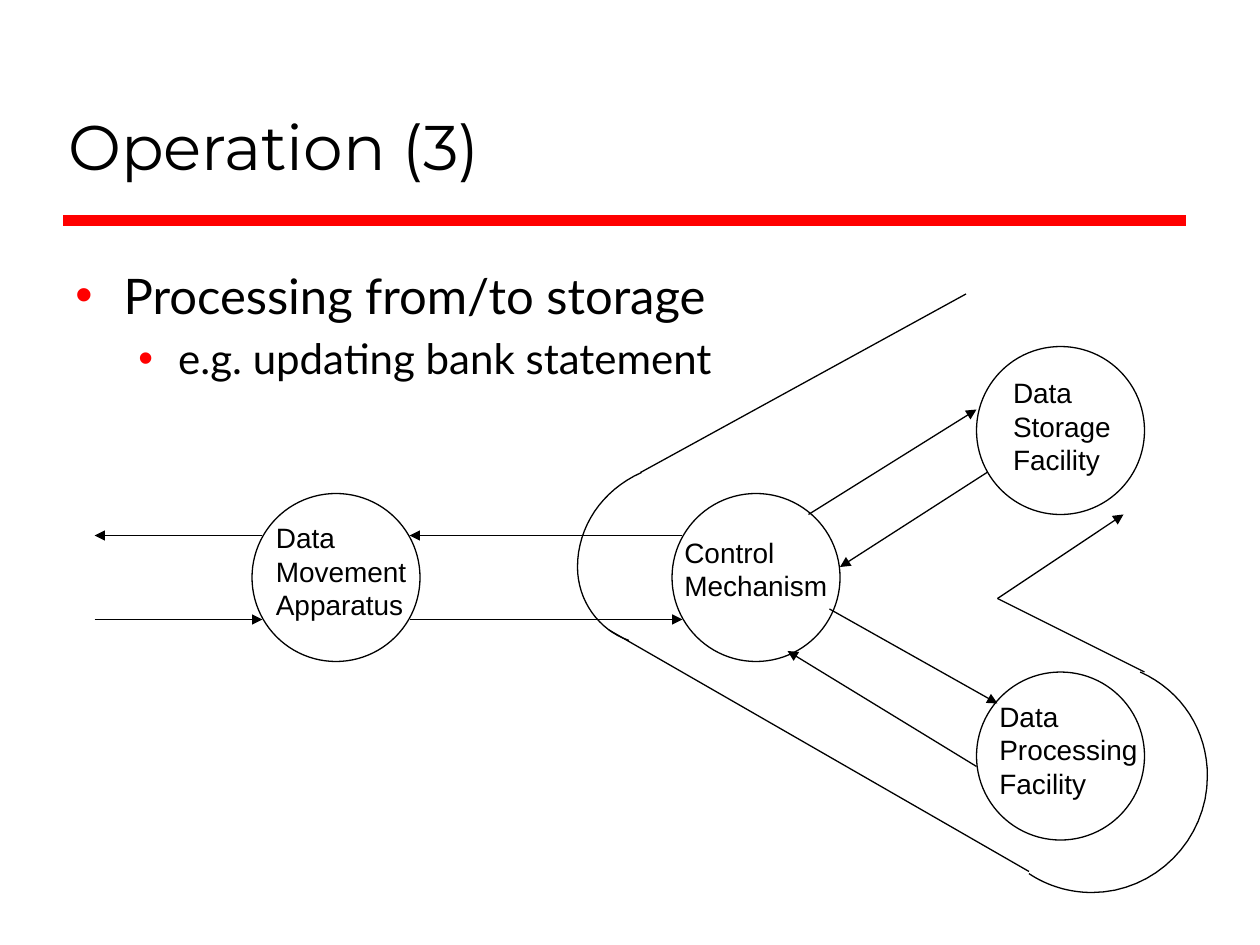
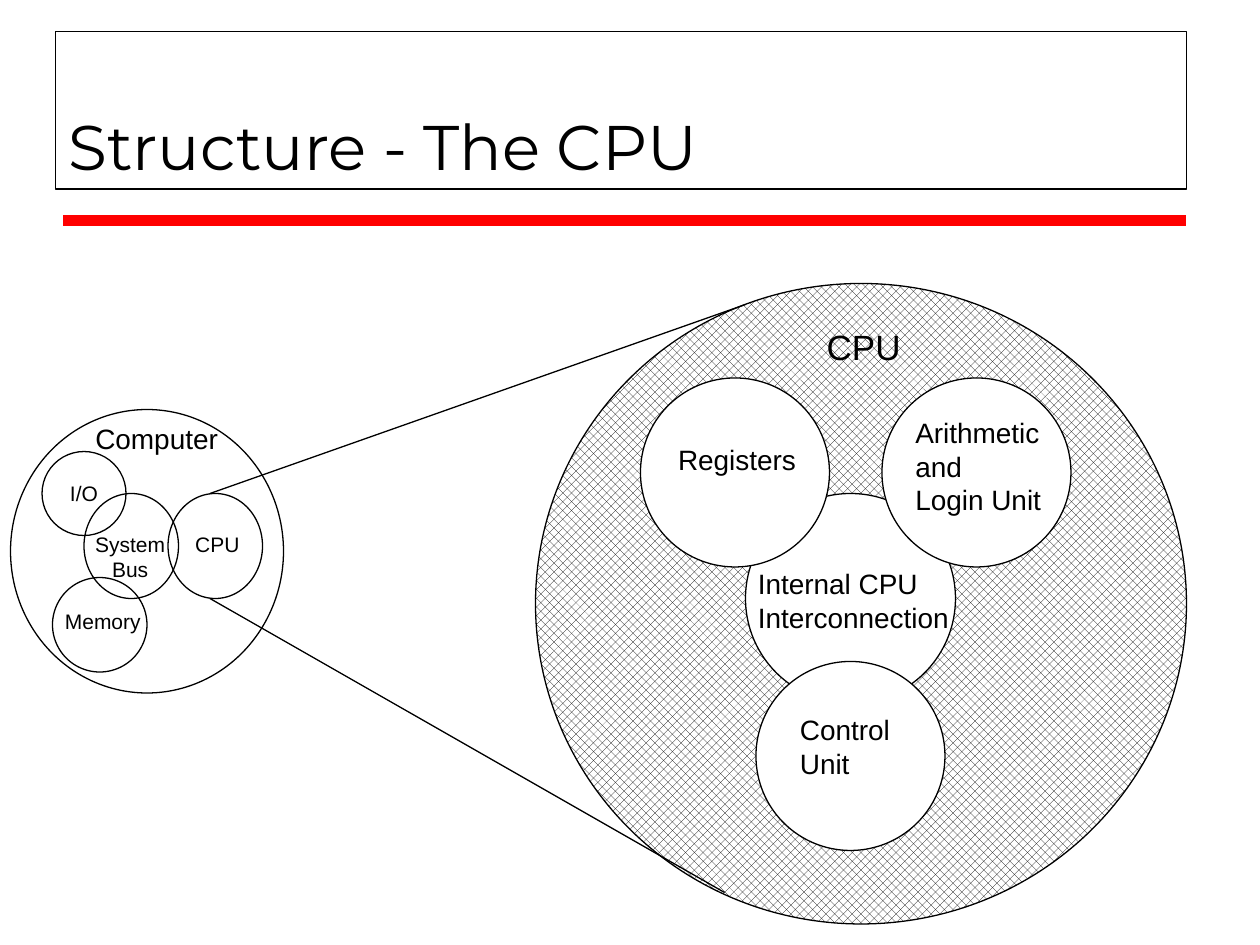
from dataclasses import dataclass

from lxml import etree
from pptx import Presentation, util as u
from pptx.dml.color import RGBColor
from pptx.enum import dml, shapes, text
from pptx.oxml import ns

PX = 7620  # EMU in one px, at 120 px to the inch


@dataclass(frozen=True)
class Theme:
    ink: RGBColor = RGBColor(0, 0, 0)
    paper: RGBColor = RGBColor(255, 255, 255)
    accent: RGBColor = RGBColor(255, 0, 0)
    head: str = "Montserrat"
    body: str = "Lato"
    label: str = "Arial"
    title: int = 36
    points: tuple = (28, 24)
    large: int = 20
    normal: int = 16
    small: int = 12
    thin: float = 0.75
    band: int = 6


def put(item, **vals):
    for key, val in vals.items():
        setattr(item, key, val)


def px(*vals):
    return [round(val * PX) for val in vals]


def sub(parent, tag, **attrs):
    return etree.SubElement(parent, ns.qn(tag), attrs)


class Deck:
    def __init__(self, theme):
        self.theme = theme
        self.prs = Presentation()
        put(self.prs, slide_width=1200 * PX, slide_height=900 * PX)

    def start(self, title):
        """Open a slide with the shared title and red band."""
        t = self.theme
        self.slide = self.prs.slides.add_slide(self.prs.slide_layouts[5])
        self.shapes = self.slide.shapes
        box = self.shapes.title
        left, top, width, height = px(53, 30, 1077, 150)
        put(box, left=left, top=top, width=width, height=height)
        self.words(box.text_frame, title, t.title, t.head, anchor="BOTTOM", wrap=True)
        self.line(60, 210, 1130, 210, color=t.accent, width=t.band)
        return box

    def words(self, frame, words, size, font=None, align="LEFT", anchor="TOP", wrap=False):
        """Fill a text frame, one paragraph per line of words."""
        frame.text = words
        put(frame, word_wrap=wrap, auto_size=text.MSO_AUTO_SIZE.NONE,
            vertical_anchor=text.MSO_ANCHOR[anchor])
        for para in frame.paragraphs:
            para.alignment = text.PP_ALIGN[align]
            put(para.font, name=font or self.theme.label, size=u.Pt(size))
            para.font.color.rgb = self.theme.ink

    def label(self, words, *area, size=None, **style):
        box = self.shapes.add_textbox(*px(*area))
        self.words(box.text_frame, words, size or self.theme.normal, **style)

    def bullets(self, rows, *area):
        """Set one bullet per row, each a level deeper."""
        t = self.theme
        frame = self.shapes.add_textbox(*px(*area)).text_frame
        self.words(frame, "\n".join(rows), t.points[0], t.body, wrap=True)
        indents = [(46, 46), (98, 38)]
        for level, (para, size, (left, hang)) in enumerate(
                zip(frame.paragraphs, t.points, indents)):
            put(para, level=level, space_before=u.Pt(size * 0.2))
            para.font.size = u.Pt(size)
            props = para._p.get_or_add_pPr()
            props.set("marL", str(left * PX))
            props.set("indent", str(-hang * PX))
            sub(sub(props, "a:buClr"), "a:srgbClr", val=str(t.accent))
            sub(props, "a:buFont", typeface=t.label)
            sub(props, "a:buChar", char="•")

    def stroke(self, line, color=None, width=None):
        line.color.rgb = color or self.theme.ink
        line.width = u.Pt(width or self.theme.thin)

    def line(self, *ends, arrow=False, **style):
        link = self.shapes.add_connector(shapes.MSO_CONNECTOR.STRAIGHT, *px(*ends))
        self.stroke(link.line, **style)
        props = link._element.spPr
        if arrow:
            sub(props.find(ns.qn("a:ln")), "a:tailEnd", type="triangle")
        sub(props, "a:effectLst")

    def disc(self, *area, fill=None):
        disc = self.shapes.add_shape(shapes.MSO_SHAPE.OVAL, *px(*area))
        disc.shadow.inherit = False
        self.stroke(disc.line)
        if fill is None:
            disc.fill.background()
        else:
            disc.fill.solid()
            disc.fill.fore_color.rgb = fill
        return disc

    def curve(self, *knots, steps=16):
        """Trace joined cubic Bezier arcs; each next arc adds three knots."""
        dots = [knots[0]]
        for first in range(0, len(knots) - 1, 3):
            arc = knots[first:first + 4]
            for step in range(1, steps + 1):
                f = step / steps
                g = 1 - f
                share = (g ** 3, 3 * g * g * f, 3 * g * f * f, f ** 3)
                dots.append([sum(s * k[axis] for s, k in zip(share, arc))
                             for axis in (0, 1)])
        dots = [px(*dot) for dot in dots]
        trace = self.shapes.build_freeform(*dots[0])
        trace.add_line_segments(dots[1:], close=False)
        shape = trace.convert_to_shape()
        shape.shadow.inherit = False
        shape.fill.background()
        self.stroke(shape.line)


def operation(deck):
    deck.start("Operation (3)")
    deck.bullets(["Processing from/to storage", "e.g. updating bank statement"],
                 60, 247, 1073, 92)

    for left, top in [(240, 470), (640, 470), (930, 330), (930, 640)]:
        deck.disc(left, top, 160, 160)
    flows = [
        (250, 510, 90, 510), (90, 590, 250, 590),
        (390, 590, 650, 590), (650, 510, 390, 510),
        (770, 490, 930, 390), (940, 450, 800, 540),
        (790, 580, 950, 670), (930, 730, 750, 620),
        (950, 570, 1070, 490),
    ]
    for flow in flows:
        deck.line(*flow, arrow=True)
    deck.label("Data\nMovement\nApparatus", 251, 490, 149, 108)
    deck.label("Control\nMechanism", 640, 504, 161, 77)
    deck.label("Data\nStorage\nFacility", 953, 352, 118, 108)
    deck.label("Data\nProcessing\nFacility", 940, 660, 156, 108)

    for edge in [(920, 280, 610, 450), (580, 600, 980, 830), (950, 570, 1090, 640)]:
        deck.line(*edge)
    deck.curve((611, 450), (573, 467), (550, 502), (550, 540))
    deck.curve((599, 610), (570, 600), (550, 572), (550, 540))
    deck.curve((980, 832), (998, 844), (1019, 850), (1040, 850),
               (1100, 850), (1150, 800), (1150, 739),
               (1150, 696), (1126, 658), (1086, 640))


def structure(deck):
    t = deck.theme
    deck.stroke(deck.start("Structure - The CPU").line)
    mid = dict(align="CENTER", anchor="MIDDLE")

    cpu = deck.disc(510, 270, 620, 610, fill=t.paper)
    cpu.fill.patterned()
    cpu.fill.pattern = dml.MSO_PATTERN.PERCENT_50
    cpu.fill.fore_color.rgb = t.ink
    cpu.fill.back_color.rgb = t.paper
    deck.disc(710, 470, 200, 200, fill=t.paper)
    for left, top in [(610, 360), (840, 360), (720, 630)]:
        deck.disc(left, top, 180, 180, fill=t.paper)
    deck.label("CPU", 775, 304, 95, 52, size=t.large, **mid)
    deck.label("Registers", 634, 416, 137, 44)
    deck.label("Arithmetic\nand\nLogin Unit", 860, 390, 144, 108)
    deck.label("Internal CPU\nInterconnection", 710, 534, 206, 77)
    deck.label("Control\nUnit", 750, 673, 109, 77)

    deck.disc(10, 390, 260, 270)
    deck.label("Computer", 79, 396, 140, 44)
    for area in [(160, 470, 90, 100), (50, 550, 90, 90), (80, 470, 90, 100)]:
        deck.disc(*area)
    port = deck.disc(40, 430, 80, 80)
    deck.words(port.text_frame, "I/O", t.small, **mid)
    deck.label("CPU", 174, 500, 66, 36, size=t.small, **mid)
    deck.label("Memory", 50, 574, 96, 36, size=t.small, **mid)
    deck.label("System\nBus", 79, 500, 90, 60, size=t.small, **mid)

    deck.line(200, 470, 710, 290)
    deck.line(200, 570, 690, 850)


def main():
    deck = Deck(Theme())
    operation(deck)
    structure(deck)
    deck.prs.save("out.pptx")


if __name__ == "__main__":
    main()
